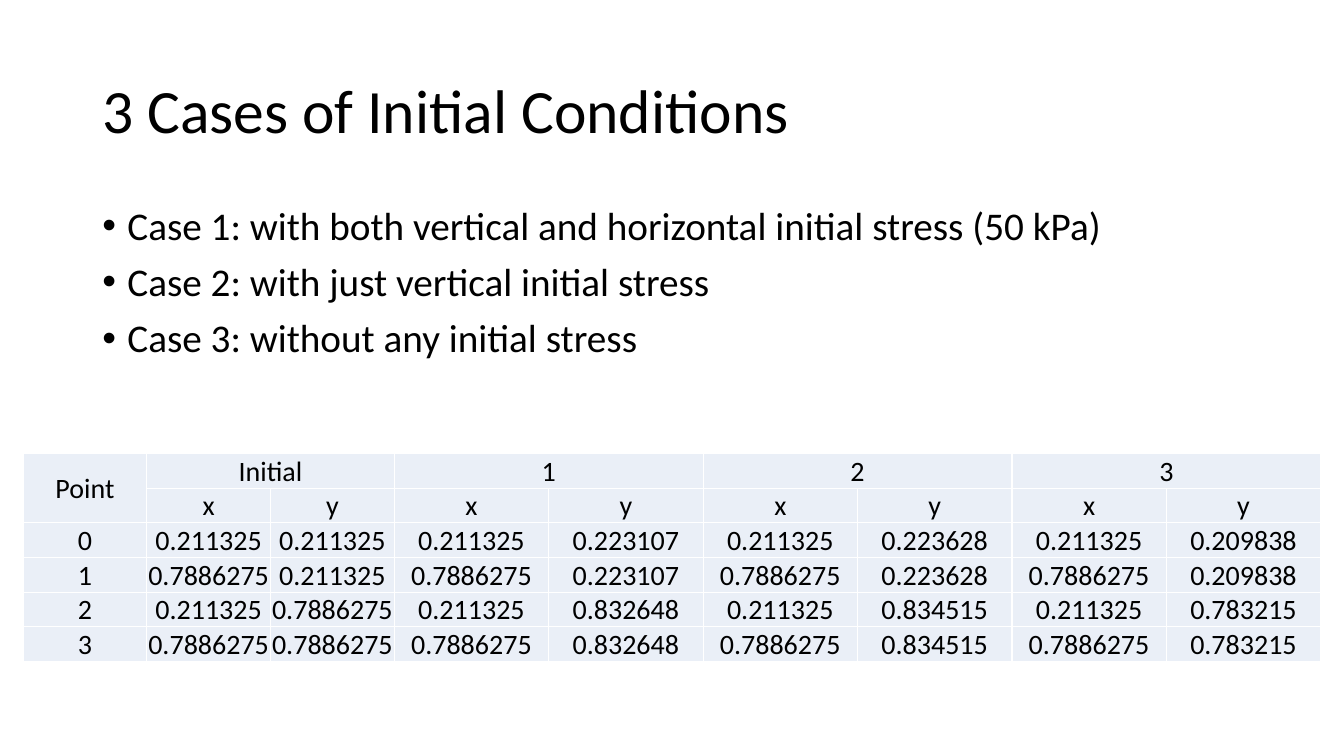
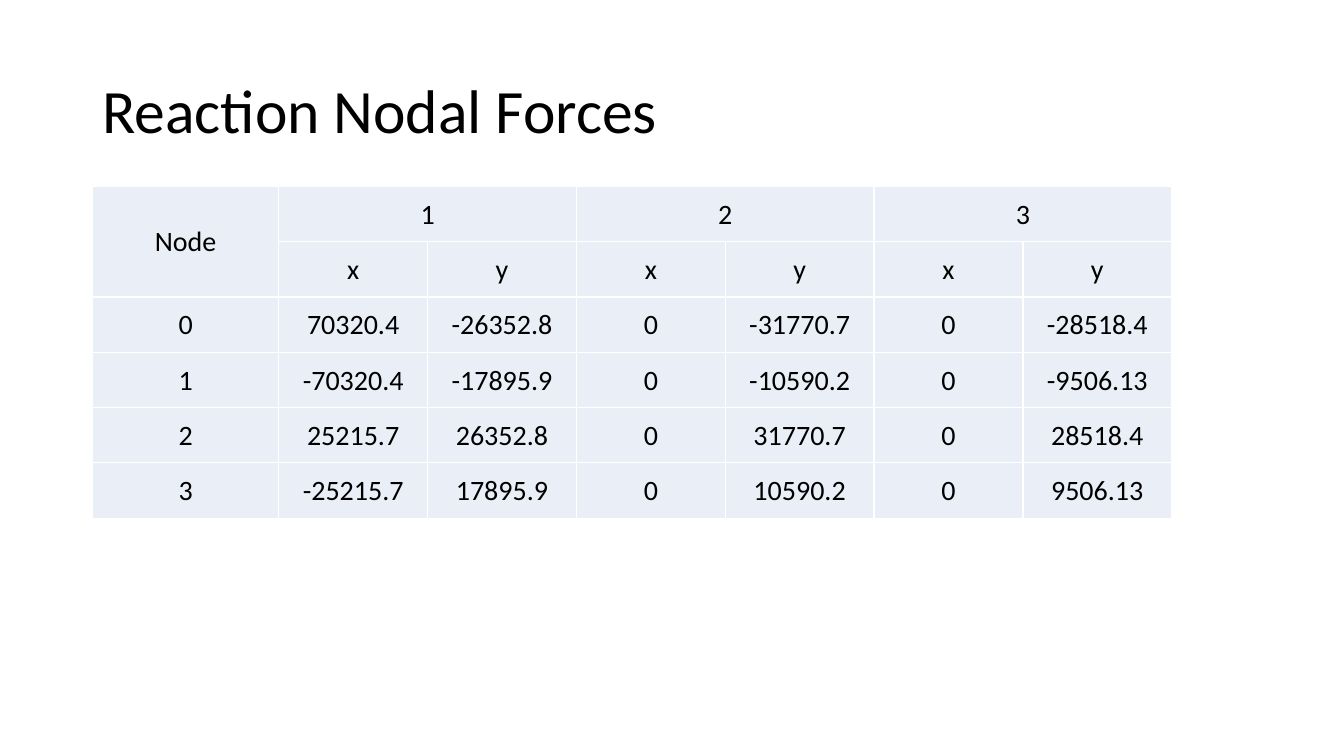
from lxml.etree import SubElement
from pptx import Presentation
from pptx.dml.color import RGBColor
from pptx.enum.text import MSO_ANCHOR, PP_ALIGN
from pptx.oxml.ns import qn
from pptx.util import Pt

BLACK = RGBColor(0x00, 0x00, 0x00)
WHITE = RGBColor(0xFF, 0xFF, 0xFF)
PALE_BLUE = RGBColor(0xEA, 0xEF, 0xF7)

INITIAL_POINTS = [
    ["0", "0.211325", "0.211325", "0.211325", "0.223107", "0.211325", "0.223628", "0.211325", "0.209838"],
    ["1", "0.7886275", "0.211325", "0.7886275", "0.223107", "0.7886275", "0.223628", "0.7886275", "0.209838"],
    ["2", "0.211325", "0.7886275", "0.211325", "0.832648", "0.211325", "0.834515", "0.211325", "0.783215"],
    ["3", "0.7886275", "0.7886275", "0.7886275", "0.832648", "0.7886275", "0.834515", "0.7886275", "0.783215"],
]
NODAL_FORCES = [
    ["0", "70320.4", "-26352.8", "0", "-31770.7", "0", "-28518.4"],
    ["1", "-70320.4", "-17895.9", "0", "-10590.2", "0", "-9506.13"],
    ["2", "25215.7", "26352.8", "0", "31770.7", "0", "28518.4"],
    ["3", "-25215.7", "17895.9", "0", "10590.2", "0", "9506.13"],
]


class Deck:
    """Holds the shared style and the current slide, and draws its elements."""

    font = "Calibri"
    left = 66
    width = 828
    title_format = {"line_spacing": 0.9}
    bullet_format = {"line_spacing": 0.9, "space_before": Pt(10)}
    cell_text_format = {"alignment": PP_ALIGN.CENTER}
    cell_format = {
        "margin_left": Pt(0.72),
        "margin_right": Pt(0.72),
        "margin_top": Pt(0.72),
        "margin_bottom": Pt(0),
        "vertical_anchor": MSO_ANCHOR.MIDDLE,
    }

    def __init__(self):
        self.presentation = Presentation()
        self.presentation.slide_width = Pt(960)
        self.presentation.slide_height = Pt(540)
        self.page = None

    def apply(self, target, values):
        for name, value in values.items():
            setattr(target, name, value)

    def add_text(self, paragraph, text, size, values):
        self.apply(paragraph, values)
        span = paragraph.add_run()
        span.text = text
        self.apply(span.font, {"name": self.font, "size": Pt(size)})
        span.font.color.rgb = BLACK

    def frame(self, top, height, anchor):
        box = self.page.shapes.add_textbox(Pt(self.left), Pt(top), Pt(self.width), Pt(height))
        self.apply(box.text_frame, {"word_wrap": True, "vertical_anchor": anchor})
        return box.text_frame

    def add_page(self, title):
        self.page = self.presentation.slides.add_slide(self.presentation.slide_layouts[6])
        frame = self.frame(28.75, 104.4, MSO_ANCHOR.MIDDLE)
        self.add_text(frame.paragraphs[0], title, 44, self.title_format)

    def bullets(self, lines):
        frame = self.frame(143.75, 342.6, MSO_ANCHOR.TOP)
        for index, line in enumerate(lines):
            paragraph = frame.add_paragraph() if index else frame.paragraphs[0]
            self.add_text(paragraph, line, 28, self.bullet_format)
            properties = paragraph._p.get_or_add_pPr()
            properties.set("marL", str(Pt(18)))
            properties.set("indent", str(-Pt(18)))
            SubElement(properties, qn("a:buFont"), typeface="Arial")
            SubElement(properties, qn("a:buChar"), char="•")

    def border(self, cell):
        properties = cell._tc.get_or_add_tcPr()
        for side in ("lnL", "lnR", "lnT", "lnB"):
            line = SubElement(properties, qn(f"a:{side}"), w=str(Pt(1)))
            fill = SubElement(line, qn("a:solidFill"))
            SubElement(fill, qn("a:srgbClr"), val=str(WHITE))

    def table(self, left, top, widths, row_height, corner, groups, body):
        group_row = [corner]
        for group in groups:
            group_row += [group, ""]
        rows = [group_row, [""] + ["x", "y"] * len(groups)] + body
        table = self.page.shapes.add_table(
            len(rows), len(widths), Pt(left), Pt(top), Pt(sum(widths)), Pt(row_height * len(rows))
        ).table
        self.apply(table, {"first_row": False, "horz_banding": False})
        for column, width in zip(table.columns, widths):
            column.width = Pt(width)
        for row, texts in zip(table.rows, rows):
            row.height = Pt(row_height)
            for cell, text in zip(row.cells, texts):
                self.apply(cell, self.cell_format)
                self.border(cell)
                cell.fill.solid()
                cell.fill.fore_color.rgb = PALE_BLUE
                if text:
                    self.add_text(cell.text_frame.paragraphs[0], text, 20, self.cell_text_format)
        table.cell(0, 0).merge(table.cell(1, 0))
        for column in range(1, len(widths), 2):
            table.cell(0, column).merge(table.cell(0, column + 1))


def main():
    deck = Deck()

    deck.add_page("3 Cases of Initial Conditions")
    deck.bullets([
        "Case 1: with both vertical and horizontal initial stress (50 kPa)",
        "Case 2: with just vertical initial stress",
        "Case 3: without any initial stress",
    ])
    deck.table(16.5, 324, [88.4] * 3 + [110.3] * 6, 20, "Point", ["Initial", "1", "2", "3"], INITIAL_POINTS)

    deck.add_page("Reaction Nodal Forces")
    deck.table(66, 133.2, [133.2] + [106.3] * 6, 39.5, "Node", ["1", "2", "3"], NODAL_FORCES)

    deck.presentation.save("out.pptx")


if __name__ == "__main__":
    main()
